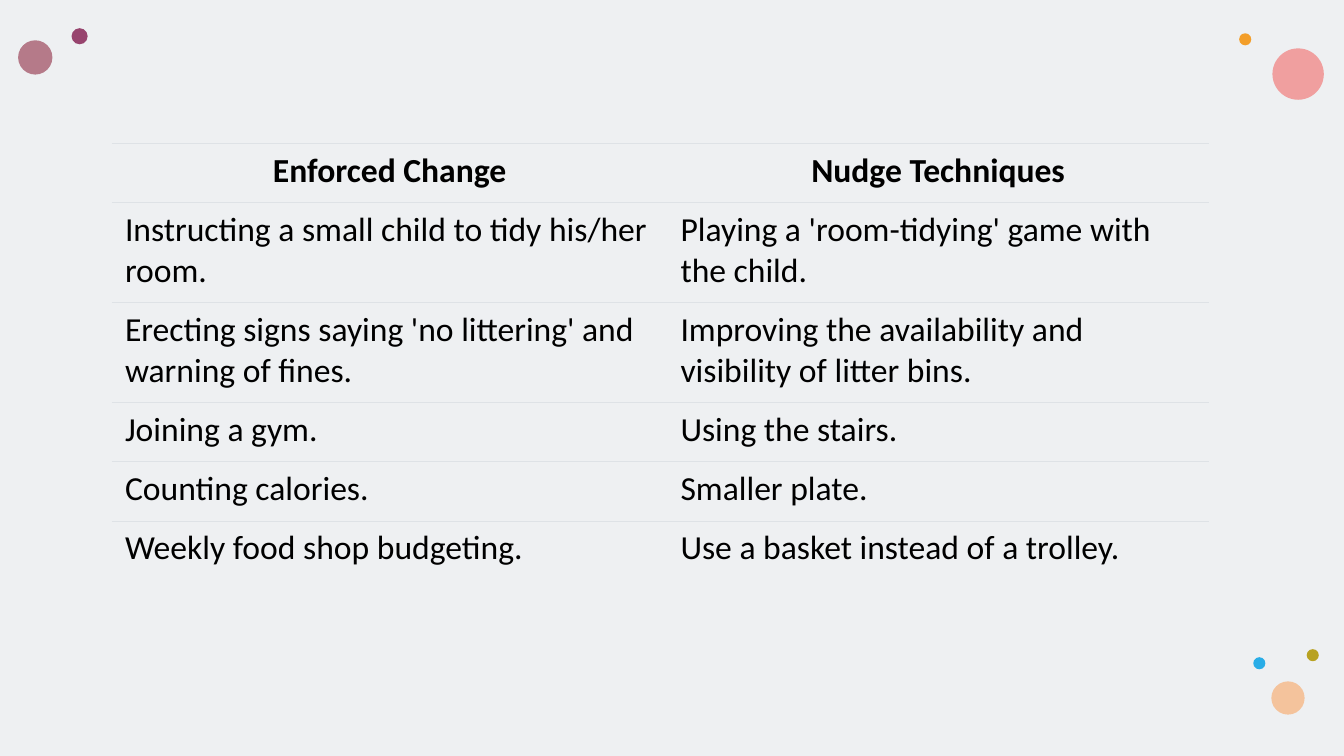
from pptx import Presentation
from pptx import util as u
from pptx.dml.color import RGBColor
from pptx.enum import shapes, text
from pptx.oxml.ns import qn
from lxml import etree

ROWS = [
    ("Enforced Change", "Nudge Techniques"),
    ("Instructing a small child to tidy his/her room.",
     "Playing a 'room-tidying' game with the child."),
    ("Erecting signs saying 'no littering' and warning of fines.",
     "Improving the availability and visibility of litter bins."),
    ("Joining a gym.", "Using the stairs."),
    ("Counting calories.", "Smaller plate."),
    ("Weekly food shop budgeting.", "Use a basket instead of a trolley."),
]
WIDTHS = (5.51, 5.37)
HEIGHTS = (0.59, 0.99, 0.99, 0.59, 0.59, 0.59)

# left, top, diameter, colour, opacity in percent
DOTS = [
    (0.71, 0.28, 0.16, "97446E", 100),
    (12.62, 0.48, 0.51, "F1817F", 72),
    (12.29, 0.33, 0.12, "F39E29", 100),
    (0.18, 0.4, 0.34, "B57A89", 100),
    (12.96, 6.44, 0.12, "B8A221", 100),
    (12.61, 6.76, 0.33, "F4C39C", 100),
    (12.43, 6.52, 0.12, "29ADE7", 100),
]

THEME = {"font": "Calibri", "size": 24, "ink": "000000", "rule": "DEE2E6",
         "rule_pt": 0.75, "base": "FFFFFF", "tint": "C8CED4", "tint_pct": 30}


def rgb(code):
    return RGBColor.from_string(code)


def add_plain(slide, kind, box, color, pct):
    shape = slide.shapes.add_shape(kind, *map(u.Inches, box))
    shape.shadow.inherit = False
    shape.line.fill.background()
    shape.fill.solid()
    shape.fill.fore_color.rgb = rgb(color)
    if pct < 100:
        tone = shape.fill._xPr.find(".//" + qn("a:srgbClr"))
        etree.SubElement(tone, qn("a:alpha"), val=str(pct * 1000))


def set_edges(cell, ruled):
    props = cell._tc.get_or_add_tcPr()
    for side in ("lnL", "lnR", "lnT", "lnB"):
        line = etree.SubElement(props, qn("a:" + side))
        if side in ruled:
            line.set("w", str(u.Pt(THEME["rule_pt"])))
            fill = etree.SubElement(line, qn("a:solidFill"))
            etree.SubElement(fill, qn("a:srgbClr"), val=THEME["rule"])
        else:
            line.set("w", "0")
            etree.SubElement(line, qn("a:noFill"))


def fill_cell(cell, words, head, last):
    set_edges(cell, ("lnT",) if last else ("lnT", "lnB"))
    cell.fill.background()
    cell.margin_left = cell.margin_right = u.Inches(0.13)
    cell.margin_top = cell.margin_bottom = u.Inches(0.07)
    cell.text_frame.text = words
    para = cell.text_frame.paragraphs[0]
    para.alignment = text.PP_ALIGN.CENTER if head else text.PP_ALIGN.LEFT
    font = para.runs[0].font
    font.name, font.size = THEME["font"], u.Pt(THEME["size"])
    font.bold, font.color.rgb = head, rgb(THEME["ink"])


def main():
    deck = Presentation()
    deck.slide_width, deck.slide_height = u.Inches(13.33), u.Inches(7.5)
    slide = deck.slides.add_slide(deck.slide_layouts[6])

    # Backdrop: white with a grey tint
    back = slide.background.fill
    back.solid()
    back.fore_color.rgb = rgb(THEME["base"])
    add_plain(slide, shapes.MSO_SHAPE.RECTANGLE, (0, 0, 13.33, 7.5),
              THEME["tint"], THEME["tint_pct"])

    # Corner dots
    for left, top, size, color, pct in DOTS:
        add_plain(slide, shapes.MSO_SHAPE.OVAL, (left, top, size, size),
                  color, pct)

    # Comparison table
    box = (1.11, 1.42, sum(WIDTHS), sum(HEIGHTS))
    table = slide.shapes.add_table(len(ROWS), len(WIDTHS),
                                   *map(u.Inches, box)).table
    table.first_row = table.horz_banding = False
    for col, width in zip(table.columns, WIDTHS):
        col.width = u.Inches(width)
    for row, height in zip(table.rows, HEIGHTS):
        row.height = u.Inches(height)
    for r, row in enumerate(ROWS):
        for c, words in enumerate(row):
            fill_cell(table.cell(r, c), words, r == 0, r == len(ROWS) - 1)

    deck.save("out.pptx")


if __name__ == "__main__":
    main()
